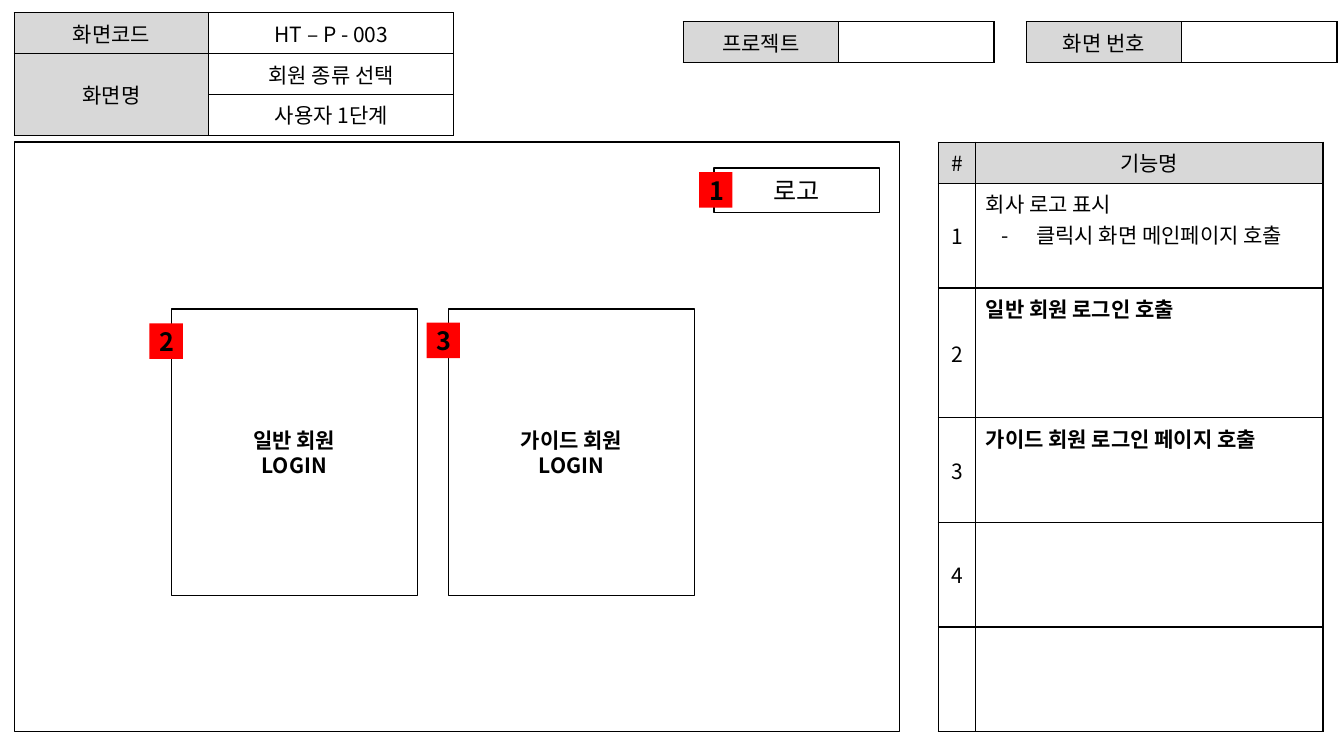
from dataclasses import dataclass

from pptx import Presentation
from pptx import util as u
from pptx.dml import color
from pptx.enum import shapes, text
from pptx.oxml import xmlchemy as x

Pt = u.Pt
FONT = "Noto Sans CJK KR"
C = {"ink": "000000", "paper": "FFFFFF", "head": "D8D8D8", "badge": "FF0000"}


@dataclass(frozen=True)
class Cell:
    lines: tuple[str, ...] = ()
    fill: str = "paper"
    bold: bool = False
    centred: bool = True


@dataclass(frozen=True)
class Grid:
    left: float
    top: float
    cols: tuple[float, ...]
    rows: tuple[float, ...]
    cells: tuple[tuple[Cell, ...], ...]
    merges: tuple[tuple[int, int, int, int], ...] = ()


@dataclass(frozen=True)
class Box:
    left: float
    top: float
    width: float
    height: float
    lines: tuple[str, ...] = ()
    size: float = 18
    bold: bool = False
    fill: str = "paper"
    outlined: bool = True


def rgb(name: str) -> color.RGBColor:
    return color.RGBColor.from_string(C[name])


def sub(parent, tag: str, **attrs):
    el = x.OxmlElement(tag)
    for key, value in attrs.items():
        el.set(key, value)
    parent.append(el)
    return el


def add_run(p, words: str, size: float, bold: bool) -> None:
    r = p.add_run()
    r.text = words
    r.font.size, r.font.bold, r.font.name = Pt(size), bold, FONT
    r.font.color.rgb = rgb("ink")
    sub(r.font._element, "a:ea", typeface=FONT)


def add_lines(tf, lines: tuple[str, ...], size: float, bold: bool, centred: bool) -> None:
    for i, words in enumerate(lines):
        p = tf.add_paragraph() if i else tf.paragraphs[0]
        p.alignment = text.PP_ALIGN.CENTER if centred else text.PP_ALIGN.LEFT
        if words.startswith("- "):
            words = words[2:]
            pPr = p._p.get_or_add_pPr()
            pPr.set("marL", str(Pt(36)))
            pPr.set("indent", str(-Pt(25)))
            sub(pPr, "a:buFont", typeface=FONT)
            sub(pPr, "a:buChar", char="-")
        add_run(p, words, size, bold)


def add_borders(cell) -> None:
    tcPr = cell._tc.get_or_add_tcPr()
    for i, side in enumerate(("L", "R", "T", "B")):
        ln = x.OxmlElement(f"a:ln{side}")
        ln.set("w", str(Pt(1)))
        sub(sub(ln, "a:solidFill"), "a:srgbClr", val=C["ink"])
        tcPr.insert(i, ln)


def draw_grid(s, g: Grid) -> None:
    frame = s.shapes.add_table(len(g.rows), len(g.cols), Pt(g.left), Pt(g.top),
                               Pt(sum(g.cols)), Pt(sum(g.rows)))
    tbl = frame.table
    tbl.first_row = tbl.horz_banding = False
    for col, width in zip(tbl.columns, g.cols):
        col.width = Pt(width)
    for row, height in zip(tbl.rows, g.rows):
        row.height = Pt(height)
    for top, left, bottom, right in g.merges:
        tbl.cell(top, left).merge(tbl.cell(bottom, right))
    for i, row in enumerate(g.cells):
        for j, c in enumerate(row):
            cell = tbl.cell(i, j)
            cell.vertical_anchor = text.MSO_ANCHOR.MIDDLE if c.centred else text.MSO_ANCHOR.TOP
            cell.fill.solid()
            cell.fill.fore_color.rgb = rgb(c.fill)
            add_borders(cell)
            add_lines(cell.text_frame, c.lines, 15, c.bold, c.centred)


def draw_box(s, b: Box) -> None:
    sp = s.shapes.add_shape(shapes.MSO_SHAPE.RECTANGLE, Pt(b.left), Pt(b.top),
                            Pt(b.width), Pt(b.height))
    sp.shadow.inherit = False
    sp.fill.solid()
    sp.fill.fore_color.rgb = rgb(b.fill)
    if b.outlined:
        sp.line.color.rgb = rgb("ink")
        sp.line.width = Pt(1)
    else:
        sp.line.fill.background()
    tf = sp.text_frame
    tf.word_wrap = True
    tf.vertical_anchor = text.MSO_ANCHOR.MIDDLE
    add_lines(tf, b.lines, b.size, b.bold, True)
    if len(b.lines) > 1:
        for p in tf.paragraphs:
            p.line_spacing = Pt(18)


def head(words: str) -> Cell:
    return Cell((words,), "head")


def label_grid(left: float, words: str) -> Grid:
    return Grid(left, 15.5, (111, 111), (29.2,), ((head(words), Cell()),))


def feature(number: str, *lines: str, bold: bool = False) -> tuple[Cell, Cell]:
    return Cell((number,) if number else ()), Cell(lines, bold=bold, centred=False)


def badge(left: float, top: float, number: str) -> Box:
    return Box(left, top, 23.8, 25.4, (number,), bold=True, fill="badge", outlined=False)


def login(left: float, member: str) -> Box:
    return Box(left, 220.8, 175.7, 204.6, (member, "LOGIN"), 15, True)


GRIDS = (
    Grid(10.2, 9, (139, 175), (29.2,) * 3, (
        (head("화면코드"), Cell(("HT – P - 003",))),
        (head("화면명"), Cell(("회원 종류 선택",))),
        (Cell(fill="head"), Cell(("사용자 1단계",))),
    ), ((1, 0, 2, 0),)),
    label_grid(733, "화면 번호"),
    label_grid(488, "프로젝트"),
    Grid(670.2, 101.6, (26.8, 248), (29.4, 74.7, 92.8, 74.7, 74.7, 74.7), (
        (head("#"), head("기능명")),
        feature("1", "회사 로고 표시", "- 클릭시 화면 메인페이지 호출"),
        feature("2", "일반 회원 로그인 호출", bold=True),
        feature("3", "가이드 회원 로그인 페이지 호출", bold=True),
        feature("4"),
        feature(""),
    )),
)
BOXES = (
    Box(10.2, 101.4, 632.5, 421.3),
    Box(510, 120, 118.2, 31.6, ("로고",)),
    login(122.4, "일반 회원"),
    badge(499.4, 123, "1"),
    badge(106.8, 231, "2"),
    login(320.4, "가이드 회원"),
    badge(304.8, 230.5, "3"),
)


def main() -> None:
    prs = Presentation()
    prs.slide_width, prs.slide_height = Pt(960), Pt(540)
    s = prs.slides.add_slide(prs.slide_layouts[6])
    for g in GRIDS:
        draw_grid(s, g)
    for b in BOXES:
        draw_box(s, b)
    prs.save("out.pptx")


if __name__ == "__main__":
    main()
